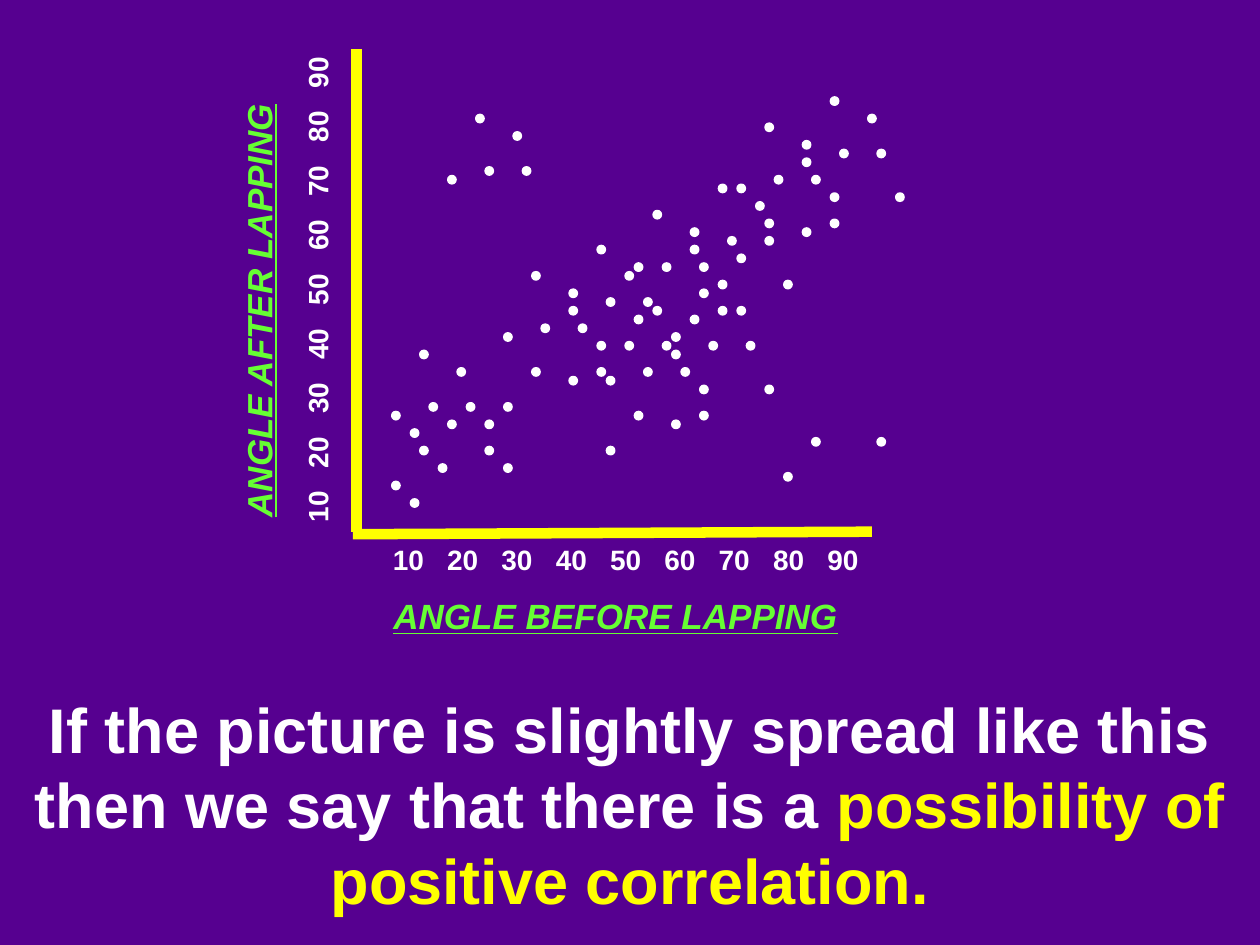
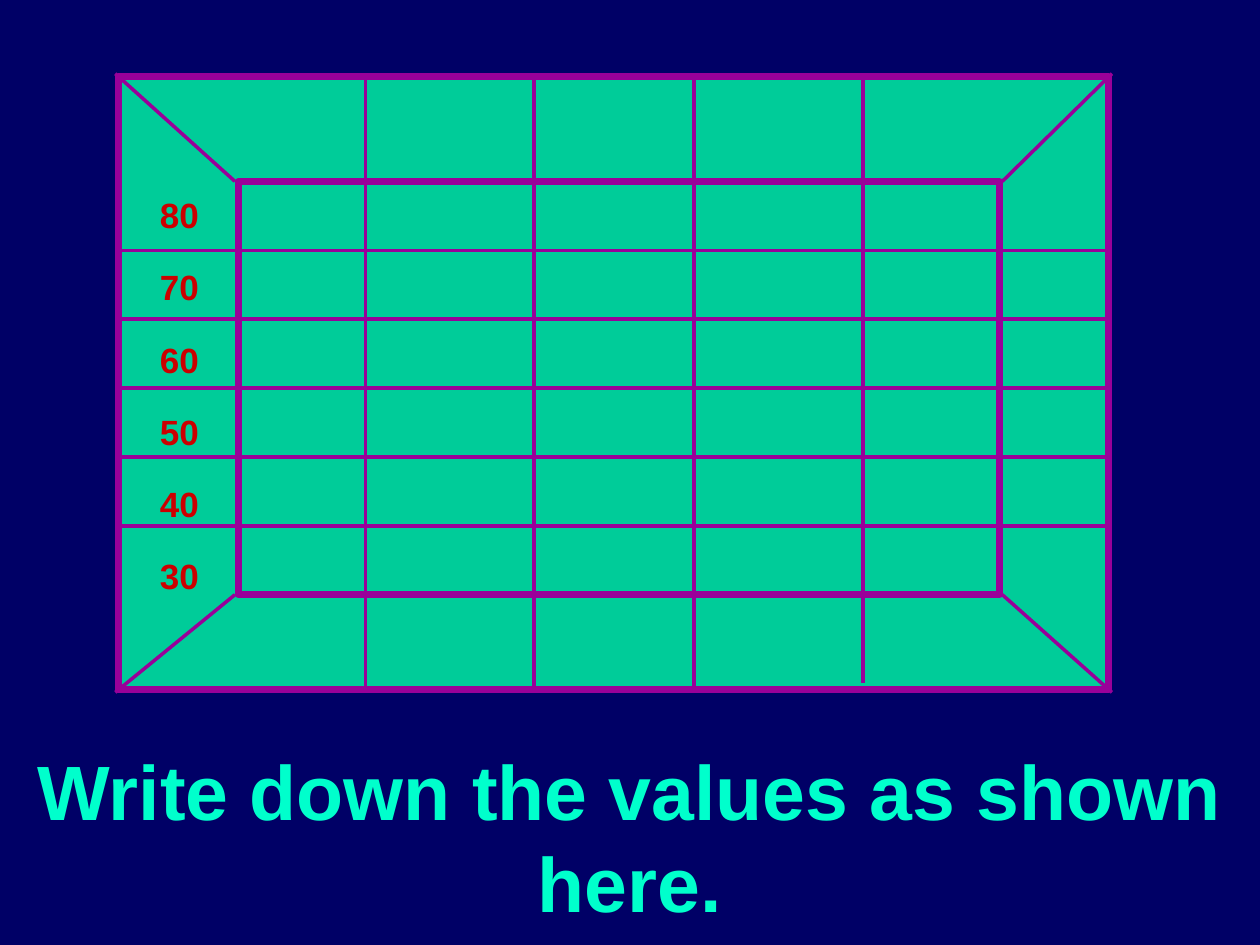
from dataclasses import dataclass

from pptx import Presentation
from pptx.dml.color import RGBColor
from pptx.enum.shapes import MSO_CONNECTOR, MSO_SHAPE
from pptx.enum.text import PP_ALIGN
from pptx.oxml.ns import qn
from pptx.util import Inches, Pt
from lxml.etree import SubElement

COLUMNS, ROWS = 100, 75
WIDTH, HEIGHT = Inches(10), Inches(7.5)
FONT = "Arial"
WHITE, YELLOW, LIME = "FFFFFF", "FFFF00", "66FF33"
PURPLE, NAVY = "560090", "000066"
GREEN, MAGENTA, RED, AQUA = "00CC99", "990099", "CC0000", "00FFCC"

SCALE = [str(value) for value in range(10, 100, 10)]
SCALE_STEP = 4.31
DOT_COLUMN, DOT_ROW, DOT_SIZE = 40 / 54, 31.9 / 46, 0.64
CLUSTER = [(10, 4), (0, 0), (3, 4), (0, 8), (3, -7), (8, -1), (7, -5), (4, -1)]
WHOLE = range(len(CLUSTER))
CLUSTER_PLACES = [
    (0, 36, WHOLE), (42, 35, (0, 2, 3)), (6, 9, (1, 4, 5, 6, 7)),
    (12, 27, WHOLE), (19, 24, WHOLE), (25, 20, WHOLE), (32, 17, WHOLE),
    (37, 10, WHOLE), (44, 7, WHOLE), (23, 32, WHOLE), (30, 29, WHOLE),
    (2, 38, (0, 1, 2, 3, 5, 7)),
]


@dataclass
class Box:
    """A rectangle measured in grid columns and rows."""
    left: float
    top: float
    width: float
    height: float

    def inside(self, left, top, width, height):
        """Return a box placed relative to this one."""
        return Box(self.left + left, self.top + top, width, height)

    def point(self, column, row):
        """Return a grid point placed relative to this box."""
        return self.left + column, self.top + row

    def frame(self):
        """Return left, top, width and height as slide lengths."""
        return (across(self.left), down(self.top),
                across(self.width), down(self.height))


def across(columns):
    """Turn grid columns into a length."""
    return round(WIDTH * columns / COLUMNS)


def down(rows):
    """Turn grid rows into a length."""
    return round(HEIGHT * rows / ROWS)


def paint(target, color):
    """Give a fill, or the fill of a line, a solid colour."""
    target.solid()
    target.fore_color.rgb = RGBColor.from_string(color)


def add_page(deck, color):
    """Add a blank slide with a coloured background."""
    page = deck.slides.add_slide(deck.slide_layouts[6])
    paint(page.background.fill, color)
    return page


def add_span(para, text, color, size, emphasis=False):
    """Add bold text to a paragraph, slanted and underlined on request."""
    span = para.add_run()
    span.text = text
    font = span.font
    font.name, font.size, font.bold = FONT, Pt(size), True
    font.color.rgb = RGBColor.from_string(color)
    if emphasis:
        font.italic = font.underline = True


def add_tabs(para, step, count):
    """Give a paragraph equally spaced tab stops."""
    stops = SubElement(para._p.get_or_add_pPr(), qn("a:tabLst"))
    for number in range(1, count + 1):
        SubElement(stops, qn("a:tab"), pos=str(across(number * step)), algn="l")


def add_text(page, box, text, color, size, accent=None, align=PP_ALIGN.LEFT,
             emphasis=False, turned=False, tab_step=None, spacing=None, gap=0):
    """Write text in a box, one paragraph a line, with an optional accent."""
    shape = page.shapes.add_textbox(*box.frame())
    shape.rotation = 270 if turned else 0
    shape.text_frame.word_wrap = True
    for number, line in enumerate(text.split("\n")):
        frame = shape.text_frame
        para = frame.add_paragraph() if number else frame.paragraphs[0]
        if tab_step:
            add_tabs(para, tab_step, line.count("\t"))
        para.alignment = align
        if spacing:
            para.line_spacing = spacing
        if number:
            para.space_before = Pt(gap)
        add_span(para, line, color, size, emphasis)
    if accent:
        add_span(para, *accent, size, emphasis)


def add_figure(page, kind, box, fill, line, weight):
    """Add a filled and outlined preset shape."""
    shape = page.shapes.add_shape(kind, *box.frame())
    shape.shadow.inherit = False
    paint(shape.fill, fill)
    paint(shape.line.fill, line)
    shape.line.width = Pt(weight)


def add_line(page, start, end, color, weight):
    """Join two grid points with a straight line."""
    line = page.shapes.add_connector(
        MSO_CONNECTOR.STRAIGHT, across(start[0]), down(start[1]),
        across(end[0]), down(end[1]))
    paint(line.line.fill, color)
    line.line.width = Pt(weight)
    SubElement(line._element.spPr, qn("a:effectLst"))


def add_axes(page, box):
    """Draw both axes with their scales and titles."""
    add_text(page, box.inside(-29.8, 13.7, 44.6, 4.3), "ANGLE AFTER LAPPING",
             LIME, 20, emphasis=True, turned=True)
    add_text(page, box.inside(-2.2, 42.8, 46.1, 4.3), "ANGLE BEFORE LAPPING",
             LIME, 20, emphasis=True, align=PP_ALIGN.CENTER)
    add_line(page, box.point(0.3, 0), box.point(0.3, 38.3), YELLOW, 6)
    add_line(page, box.point(0, 38.5), box.point(box.width, 38.3), YELLOW, 6)
    for left, top, turned in ((2.2, 38.7, False), (-22.8, 16.7, True)):
        add_text(page, box.inside(left, top, 40, 3.7), "\t".join(SCALE),
                 WHITE, 16, turned=turned, tab_step=SCALE_STEP)


def add_dots(page, box):
    """Scatter the dots by repeating one cluster over the plot."""
    for column, row, kept in CLUSTER_PLACES:
        for index in kept:
            step_right, step_down = CLUSTER[index]
            dot = box.inside((column + step_right) * DOT_COLUMN,
                             (row + step_down) * DOT_ROW, DOT_SIZE, DOT_SIZE)
            add_figure(page, MSO_SHAPE.OVAL, dot, WHITE, WHITE, 1)


def add_scatter_page(deck):
    """Build the slide with the scatter diagram."""
    page = add_page(deck, PURPLE)
    add_text(page, Box(0, 54.3, COLUMNS, 19),
             "If the picture is slightly spread like this then we say that there is a ",
             WHITE, 36, accent=("possibility of positive correlation.", YELLOW),
             align=PP_ALIGN.CENTER)
    plot = Box(28, 3.9, 41.2, 38.5)
    add_axes(page, plot)
    add_dots(page, plot.inside(3.1, 3.8, 40, 31.9))


def add_value_grid(page, box):
    """Draw the framed grid with its slanted corners and row values."""
    inner = box.inside(9.5, 8.3, 60.4, 32.8)
    edge = 0.25
    for frame in (box, inner):
        add_figure(page, MSO_SHAPE.RECTANGLE, frame, GREEN, MAGENTA, 4)
    for column in (19.6, 33, 45.7, 59.1):
        overhang = -0.5 if column == 59.1 else edge
        add_line(page, box.point(column, -edge),
                 box.point(column, box.height + overhang), MAGENTA, 2)
    values = range(80, 20, -10)
    row_height = inner.height / len(values)
    for number in range(1, len(values)):
        row = number * row_height + inner.top - box.top
        add_line(page, box.point(-edge, row),
                 box.point(box.width + edge, row), MAGENTA, 2)
    for right in (0, 1):
        for bottom in (0, 1):
            shift = edge if right else -edge
            drop = edge if bottom else -edge
            add_line(page,
                     inner.point(right * inner.width + shift, bottom * inner.height),
                     box.point(right * box.width + shift, bottom * box.height + drop),
                     MAGENTA, 2)
    add_text(page, box.inside(2.3, 8.1, 6.7, 33.7), "\n".join(map(str, values)),
             RED, 20, spacing=1.2, gap=12.5)


def add_values_page(deck):
    """Build the slide with the grid of values."""
    page = add_page(deck, NAVY)
    add_text(page, Box(0, 58.5, COLUMNS, 15.7),
             "Write down the values as shown here.", AQUA, 44,
             align=PP_ALIGN.CENTER)
    add_value_grid(page, Box(9.4, 6.1, 78.6, 48.6))


def main():
    """Build and save the deck."""
    deck = Presentation()
    deck.slide_width, deck.slide_height = WIDTH, HEIGHT
    add_scatter_page(deck)
    add_values_page(deck)
    deck.save("out.pptx")


if __name__ == "__main__":
    main()
